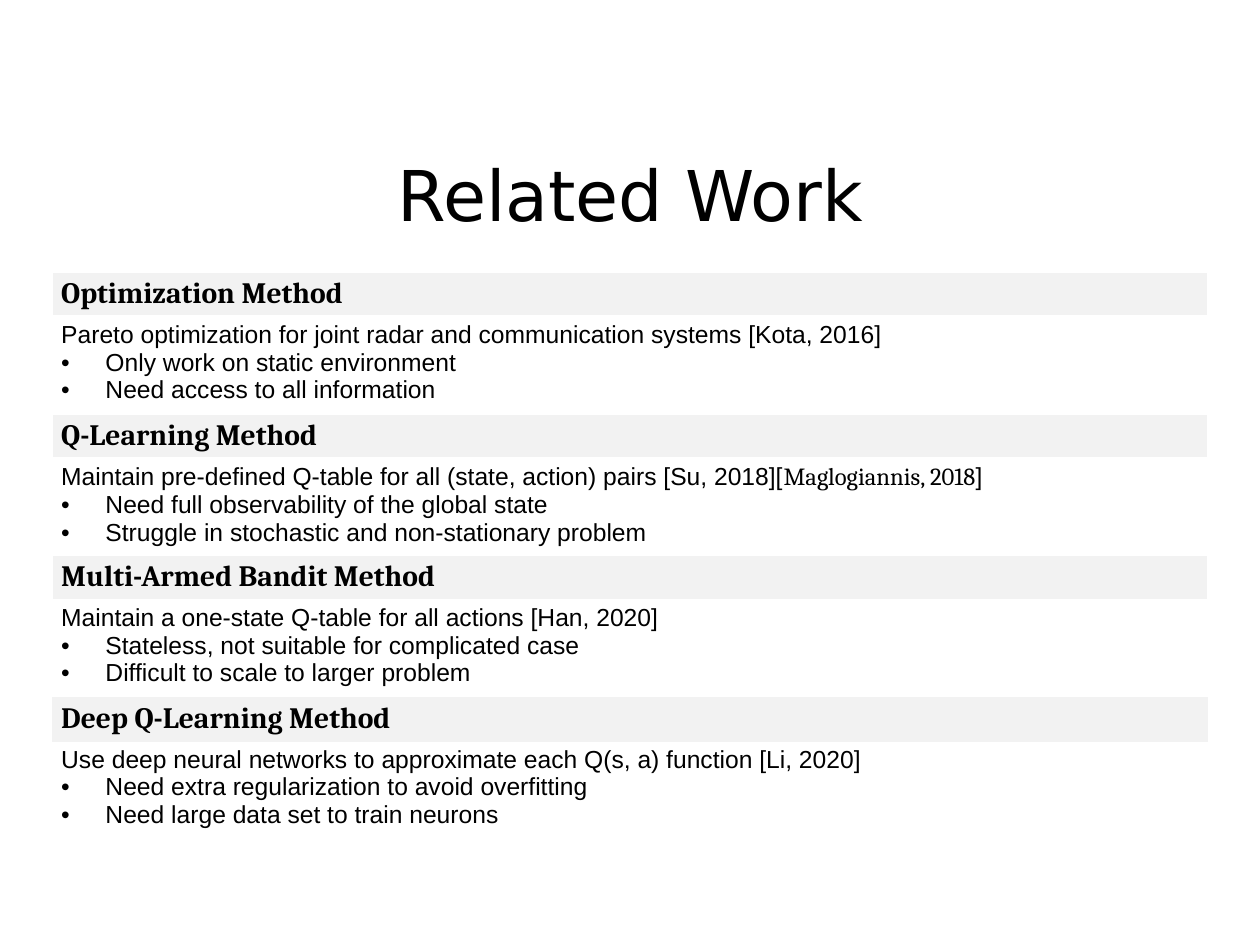
"""Builds the Related Work slide with four method tables."""
from lxml import etree
from pptx import Presentation
from pptx import util as u
from pptx.dml.color import RGBColor
from pptx.enum import text
from pptx.oxml import ns

COLORS = {"ink": "000000", "band": "F2F2F2", "paper": "FFFFFF"}
FORMATS = {
    "title": {"name": "DejaVu Sans", "size": u.Pt(56.9)},
    "heading": {"name": "Cambria", "size": u.Pt(24), "bold": True},
    "body": {"name": "Arial", "size": u.Pt(20), "bold": False},
    "citation": {"name": "Cambria", "size": u.Pt(20), "bold": False},
}
METHODS = [
    ("Optimization Method",
     [("Pareto optimization for joint radar and communication systems [Kota, 2016]", "body")],
     ["Only work on static environment", "Need access to all information"]),
    ("Q-Learning Method",
     [("Maintain pre-defined Q-table for all (state, action) pairs [Su, 2018][", "body"),
      ("Maglogiannis, 2018", "citation"), ("]", "body")],
     ["Need full observability of the global state",
      "Struggle in stochastic and non-stationary problem"]),
    ("Multi-Armed Bandit Method",
     [("Maintain a one-state Q-table for all actions [Han, 2020]", "body")],
     ["Stateless, not suitable for complicated case", "Difficult to scale to larger problem"]),
    ("Deep Q-Learning Method",
     [("Use deep neural networks to approximate each Q(s, a) function [Li, 2020]", "body")],
     ["Need extra regularization to avoid overfitting", "Need large data set to train neurons"]),
]
LEFT, TOP, WIDTH, PITCH = 1.5, 7.82, 33.12, 4.06
HEADER_HEIGHT, LAST_HEIGHT = 1.23, 4.88


class SlideBuilder:
    """Holds the style and the current slide."""

    def __init__(self, slide, colors, formats):
        self.slide, self.colors, self.formats = slide, colors, formats

    def add_text(self, paragraph, content, style):
        """Add one formatted run to a paragraph."""
        run = paragraph.add_run()
        run.text = content
        for name, value in self.formats[style].items():
            setattr(run.font, name, value)
        run.font.color.rgb = RGBColor.from_string(self.colors["ink"])

    def title(self, content, left, top, width, height):
        """Add the centred slide title."""
        shape = self.slide.shapes.add_textbox(*map(u.Cm, (left, top, width, height)))
        frame = shape.text_frame
        frame.word_wrap = True
        frame.vertical_anchor = text.MSO_ANCHOR.MIDDLE
        paragraph = frame.paragraphs[0]
        paragraph.alignment = text.PP_ALIGN.CENTER
        self.add_text(paragraph, content, "title")

    def bullet(self, paragraph):
        """Give a paragraph a hanging round bullet."""
        properties = paragraph._p.get_or_add_pPr()
        properties.set("marL", str(u.Cm(1.27)))
        properties.set("indent", str(-u.Cm(1.27)))
        etree.SubElement(properties, ns.qn("a:buFont")).set("typeface", "Arial")
        etree.SubElement(properties, ns.qn("a:buChar")).set("char", "•")

    def cell_style(self, cell, color, widths):
        """Fill a cell and set its left, right, top and bottom borders in points."""
        cell.fill.solid()
        cell.fill.fore_color.rgb = RGBColor.from_string(self.colors[color])
        properties = cell._tc.get_or_add_tcPr()
        for position, (side, width) in enumerate(zip("LRTB", widths)):
            line = etree.Element(ns.qn(f"a:ln{side}"), w=str(u.Pt(width)))
            if width:
                fill = etree.SubElement(line, ns.qn("a:solidFill"))
                etree.SubElement(fill, ns.qn("a:srgbClr")).set("val", self.colors["paper"])
            else:
                etree.SubElement(line, ns.qn("a:noFill"))
            properties.insert(position, line)

    def method_table(self, method, top, height, bordered):
        """Add a heading row above a row with a summary and its drawbacks."""
        heading, summary, drawbacks = method
        shape = self.slide.shapes.add_table(2, 1, *map(u.Cm, (LEFT, top, WIDTH, height)))
        table = shape.table
        table.first_row = table.horz_banding = False
        table.rows[0].height = u.Cm(HEADER_HEIGHT)
        table.rows[1].height = u.Cm(height - HEADER_HEIGHT)
        header, body = table.cell(0, 0), table.cell(1, 0)
        self.cell_style(header, "band", (1, 1, 1, 3) if bordered else (0,) * 4)
        self.cell_style(body, "paper", (1, 1, 3, 1) if bordered else (0,) * 4)
        self.add_text(header.text_frame.paragraphs[0], heading, "heading")
        for content, style in summary:
            self.add_text(body.text_frame.paragraphs[0], content, style)
        for drawback in drawbacks:
            paragraph = body.text_frame.add_paragraph()
            self.bullet(paragraph)
            self.add_text(paragraph, drawback, "body")


def main():
    """Build and save the presentation."""
    presentation = Presentation()
    presentation.slide_width, presentation.slide_height = u.Cm(36.12), u.Cm(27.1)
    slide = presentation.slides.add_slide(presentation.slide_layouts[6])
    builder = SlideBuilder(slide, COLORS, FORMATS)
    builder.title("Related Work", 2.72, 3.3, 30.7, 4.52)
    for index, method in enumerate(METHODS):
        last = index == len(METHODS) - 1
        builder.method_table(method, TOP + index * PITCH, LAST_HEIGHT if last else PITCH, not last)
    presentation.save("out.pptx")


if __name__ == "__main__":
    main()
